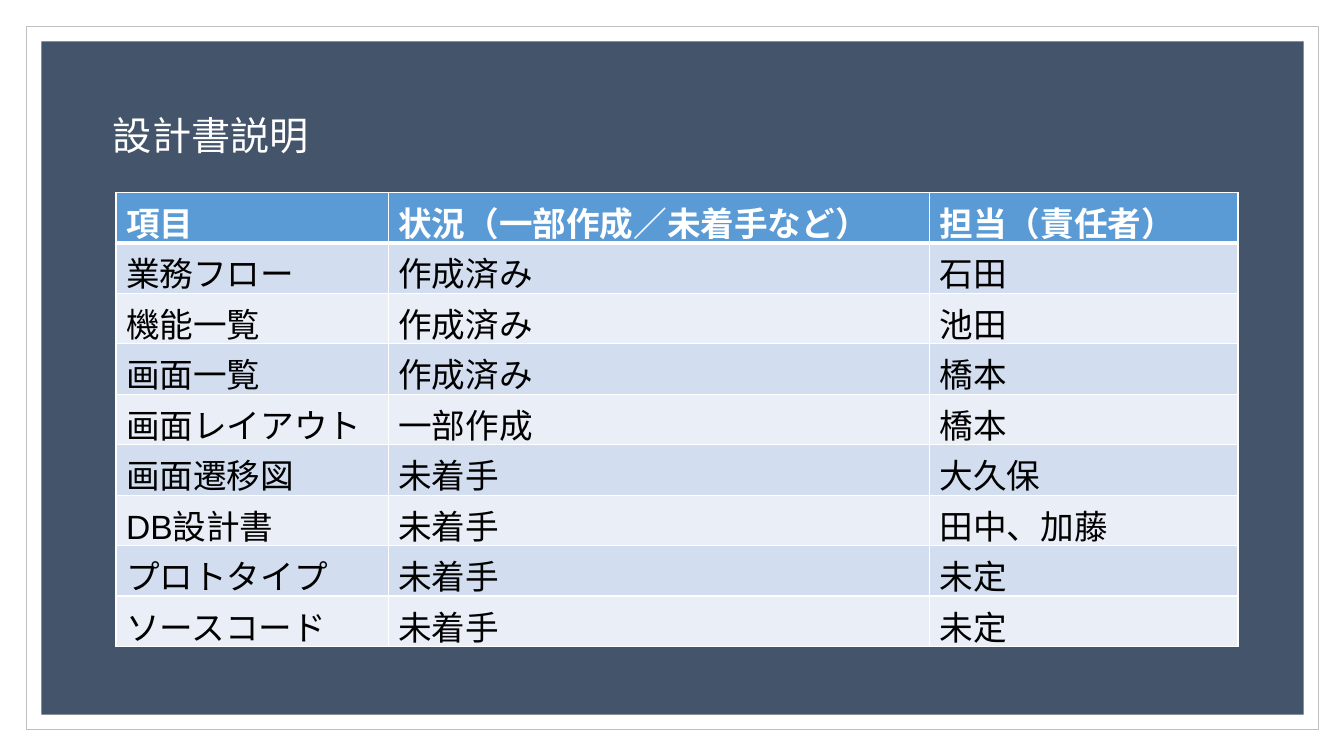
from lxml.etree import SubElement
from pptx import Presentation
from pptx.dml.color import RGBColor
from pptx.enum.shapes import MSO_SHAPE
from pptx.enum.text import MSO_ANCHOR, MSO_AUTO_SIZE, PP_ALIGN
from pptx.oxml.ns import qn
from pptx.util import Inches, Pt

WHITE = RGBColor(0xFF, 0xFF, 0xFF)
BLACK = RGBColor(0, 0, 0)
GREY = RGBColor(0xBF, 0xBF, 0xBF)
SLATE = RGBColor(0x44, 0x54, 0x6A)
BLUE = RGBColor(0x5B, 0x9B, 0xD5)
BAND_DARK = RGBColor(0xD2, 0xDE, 0xEF)
BAND_LIGHT = RGBColor(0xEA, 0xEF, 0xF7)

HEADER_AND_ITEMS = [
    ("項目", "状況（一部作成／未着手など）", "担当（責任者）"),
    ("業務フロー", "作成済み", "石田"),
    ("機能一覧", "作成済み", "池田"),
    ("画面一覧", "作成済み", "橋本"),
    ("画面レイアウト", "一部作成", "橋本"),
    ("画面遷移図", "未着手", "大久保"),
    ("DB設計書", "未着手", "田中、加藤"),
    ("プロトタイプ", "未着手", "未定"),
    ("ソースコード", "未着手", "未定"),
]
COLUMN_WIDTHS = (2.7, 5.37, 3.06)
ROW_HEIGHT = 0.5


def add_borders(cell, widths):
    """Give the cell white borders, widths in points by side tag."""
    properties = cell._tc.get_or_add_tcPr()
    for side, width in widths.items():
        border = SubElement(properties, qn(f"a:{side}"), w=str(Pt(width)))
        fill = SubElement(border, qn("a:solidFill"))
        SubElement(fill, qn("a:srgbClr"), val=str(WHITE))


presentation = Presentation()
presentation.slide_width = Inches(13.33)
presentation.slide_height = Inches(7.5)
slide = presentation.slides.add_slide(presentation.slide_layouts[5])

# Thin outer frame and dark panel
frame = slide.shapes.add_shape(
    MSO_SHAPE.RECTANGLE, Inches(0.26), Inches(0.26), Inches(12.82), Inches(6.98))
panel = slide.shapes.add_shape(
    MSO_SHAPE.RECTANGLE, Inches(0.41), Inches(0.41), Inches(12.52), Inches(6.68))
for backdrop, color in ((frame, WHITE), (panel, SLATE)):
    backdrop.shadow.inherit = False
    backdrop.fill.solid()
    backdrop.fill.fore_color.rgb = color
frame.line.color.rgb = GREY
frame.line.width = Pt(0.5)
panel.line.fill.background()

# Title, brought in front of the panel
title = slide.shapes.title
slide.shapes._spTree.append(title._element)
title.left, title.top = Inches(1.02), Inches(1.05)
title.width, title.height = Inches(2.17), Inches(0.57)
title.text_frame.text = "設計書説明"
title.text_frame.word_wrap = False
title.text_frame.auto_size = MSO_AUTO_SIZE.SHAPE_TO_FIT_TEXT
title.text_frame.vertical_anchor = MSO_ANCHOR.TOP
heading = title.text_frame.paragraphs[0]
heading.alignment = PP_ALIGN.LEFT
heading.font.name = "Roboto"
heading.font.size = Pt(28)
heading.font.color.rgb = WHITE

# Status table
status = slide.shapes.add_table(
    len(HEADER_AND_ITEMS), len(COLUMN_WIDTHS), Inches(1.15), Inches(1.91),
    Inches(sum(COLUMN_WIDTHS)), Inches(ROW_HEIGHT * len(HEADER_AND_ITEMS))).table
for column, width in zip(status.columns, COLUMN_WIDTHS):
    column.width = Inches(width)

for row_index, texts in enumerate(HEADER_AND_ITEMS):
    is_header = row_index == 0
    band = BAND_DARK if row_index % 2 else BAND_LIGHT
    status.rows[row_index].height = Inches(ROW_HEIGHT)
    for column_index, text in enumerate(texts):
        cell = status.cell(row_index, column_index)
        add_borders(cell, {"lnL": 1, "lnR": 1, "lnT": 3 if row_index == 1 else 1,
                           "lnB": 3 if is_header else 1})
        cell.fill.solid()
        cell.fill.fore_color.rgb = BLUE if is_header else band
        cell.text = text
        font = cell.text_frame.paragraphs[0].font
        font.name = "Arial"
        font.size = Pt(24)
        font.bold = is_header
        font.color.rgb = WHITE if is_header else BLACK

presentation.save("out.pptx")
